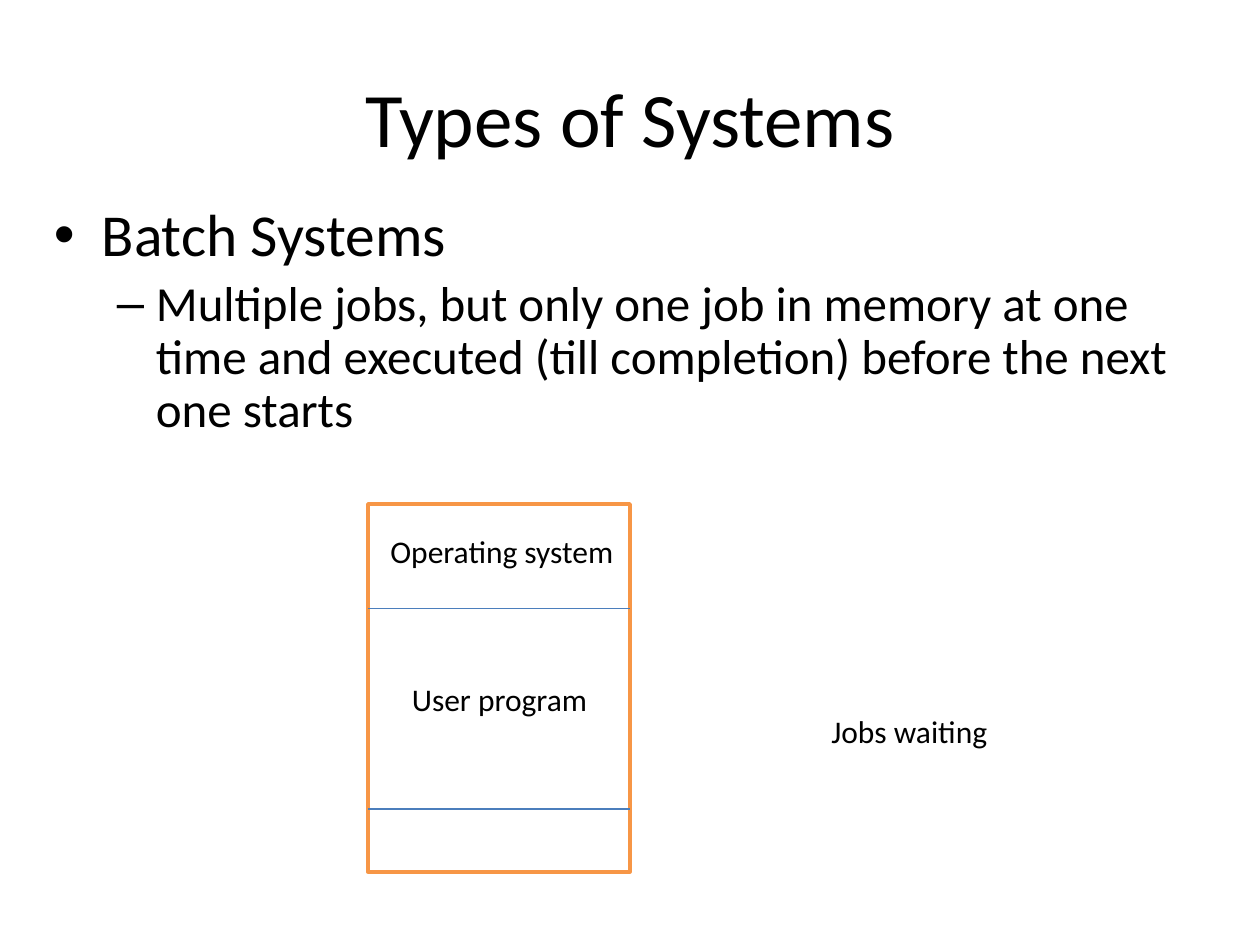
from lxml import etree
from pptx import Presentation
from pptx.dml.color import RGBColor
from pptx.enum.shapes import MSO_CONNECTOR, MSO_SHAPE
from pptx.enum.text import MSO_ANCHOR, PP_ALIGN
from pptx.oxml.ns import qn
from pptx.util import Inches, Pt

RECT = MSO_SHAPE.RECTANGLE
LINE = MSO_CONNECTOR.STRAIGHT
MIDDLE = MSO_ANCHOR.MIDDLE
CENTER = PP_ALIGN.CENTER
FONT = "Calibri"
BLACK, WHITE, ORANGE, BLUE = "000000", "FFFFFF", "F79646", "4B7EBC"
LEFT, TOP, WIDE, HIGH = 2.92, 4, 2.08, 2.92


def color(code):
    """Turn a hex string into a colour."""
    return RGBColor.from_string(code)


def style(para, size):
    """Set the font of a paragraph."""
    para.font.name = FONT
    para.font.size = Pt(size)
    para.font.color.rgb = color(BLACK)


def title(slide, text):
    """Place and fill the title."""
    box = slide.shapes.title
    box.left, box.top, box.width, box.height = map(Inches, (0.5, 0.3, 9, 1.25))
    frame = box.text_frame
    frame.text = text
    frame.vertical_anchor = MIDDLE
    para = frame.paragraphs[0]
    para.alignment = CENTER
    style(para, 44)


def text_box(slide, *place):
    """Add a wrapping text box and return its frame."""
    frame = slide.shapes.add_textbox(*map(Inches, place)).text_frame
    frame.word_wrap = True
    return frame


def bullet(para, text, size, mark, level, left, hang):
    """Write a paragraph with a hanging bullet."""
    para.text = text
    para.level = level
    para.line_spacing = 0.9
    para.space_before = Pt(round(size * 0.2, 1))
    style(para, size)
    props = para._p.get_or_add_pPr()
    props.set("marL", str(Inches(left)))
    props.set("indent", str(-Inches(hang)))
    font = etree.SubElement(props, qn("a:buFont"), typeface="Arial")
    font.addnext(etree.Element(qn("a:buChar"), char=mark))
    props.append(props.find(qn("a:defRPr")))


def body(slide):
    """Add the bulleted text."""
    frame = text_box(slide, 0.33, 1.58, 9.17, 5.67)
    bullet(frame.paragraphs[0], "Batch Systems", 34, "•", 0, 0.38, 0.38)
    bullet(frame.add_paragraph(),
           "Multiple jobs, but only one job in memory at one time and "
           "executed (till completion) before the next one starts",
           28, "–", 1, 0.81, 0.31)


def memory(slide):
    """Draw the outline of the memory block."""
    box = slide.shapes.add_shape(RECT, *map(Inches, (LEFT, TOP, WIDE, HIGH)))
    box.shadow.inherit = False
    box.fill.solid()
    box.fill.fore_color.rgb = color(WHITE)
    box.line.color.rgb = color(ORANGE)
    box.line.width = Pt(2)


def divider(slide, y):
    """Draw a line across the memory block."""
    ends = map(Inches, (LEFT, y, LEFT + WIDE, y))
    line = slide.shapes.add_connector(LINE, *ends)
    line.line.color.rgb = color(BLUE)
    line.line.width = Pt(0.75)
    etree.SubElement(line._element.spPr, qn("a:effectLst"))


def label(slide, text, left, top, width):
    """Add a one-line label."""
    para = text_box(slide, left, top, width, 0.4).paragraphs[0]
    para.text = text
    style(para, 18)


def main():
    """Build the slide and save it."""
    deck = Presentation()
    deck.slide_width, deck.slide_height = Inches(10), Inches(7.5)
    slide = deck.slides.add_slide(deck.slide_layouts[5])
    title(slide, "Types of Systems")
    body(slide)
    memory(slide)
    for y in (4.83, 6.42):
        divider(slide, y)
    label(slide, "Operating system", 3, 4.17, 2.25)
    label(slide, "User program", 3.17, 5.35, 1.75)
    label(slide, "Jobs waiting", 6.5, 5.6, 2.33)
    deck.save("out.pptx")


if __name__ == "__main__":
    main()
